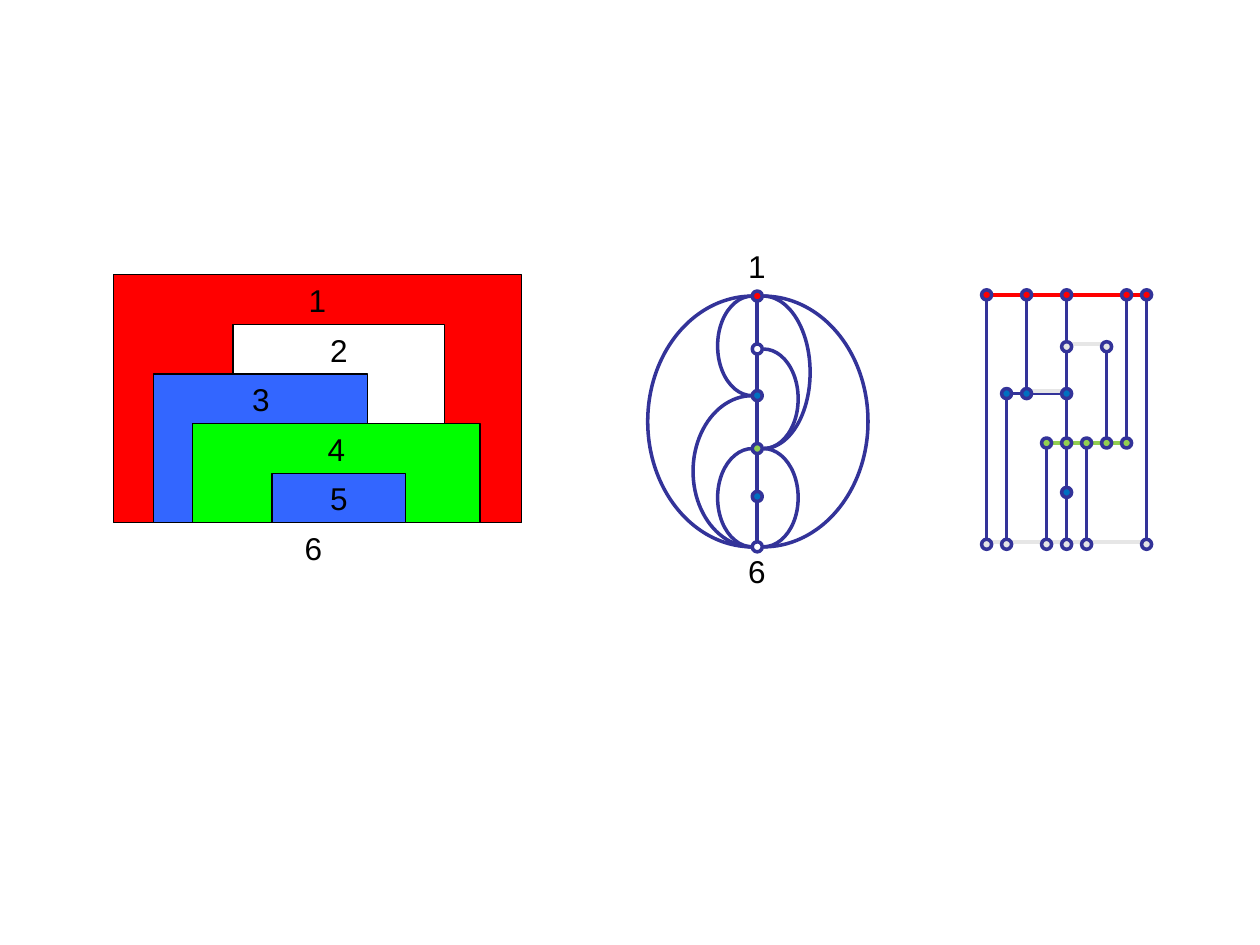
from lxml import etree
from pptx import Presentation
from pptx.dml.color import RGBColor
from pptx.enum import shapes, text
from pptx.oxml.ns import qn
from pptx.util import Inches, Pt

BLACK = RGBColor(0x00, 0x00, 0x00)
WHITE = RGBColor(0xFF, 0xFF, 0xFF)
RED = RGBColor(0xFF, 0x00, 0x00)
LIME = RGBColor(0x00, 0xFF, 0x00)
SKY = RGBColor(0x33, 0x66, 0xFF)
INDIGO = RGBColor(0x33, 0x33, 0x99)
BLUE = RGBColor(0x00, 0x70, 0xC0)
GREEN = RGBColor(0x92, 0xD0, 0x50)
GREY = RGBColor(0xE6, 0xE6, 0xE6)

SHAPE = shapes.MSO_SHAPE
DOT = 0.08


def write(sp, content, size=18, font="Arial", color=BLACK,
          align=text.PP_ALIGN.LEFT, anchor=text.MSO_ANCHOR.TOP):
    tf = sp.text_frame
    tf.word_wrap = False
    tf.vertical_anchor = anchor
    p = tf.paragraphs[0]
    p.alignment = align
    r = p.add_run()
    r.text = content
    r.font.size = Pt(size)
    r.font.name = font
    r.font.color.rgb = color


def add_label(parent, content, x, y):
    sp = parent.add_textbox(Inches(x), Inches(y), Inches(0.34), Inches(0.4))
    write(sp, content)
    sp.text_frame.auto_size = text.MSO_AUTO_SIZE.SHAPE_TO_FIT_TEXT


def add_shape(parent, kind, x, y, w, h, fill=None, line=INDIGO, weight=2):
    sp = parent.add_shape(kind, Inches(x), Inches(y), Inches(w), Inches(h))
    sp.shadow.inherit = False
    if fill is None:
        sp.fill.background()
    else:
        sp.fill.solid()
        sp.fill.fore_color.rgb = fill
    sp.line.color.rgb = line
    sp.line.width = Pt(weight)
    return sp


def add_dot(parent, x, y, fill=None):
    add_shape(parent, SHAPE.OVAL, x - DOT / 2, y - DOT / 2, DOT, DOT, fill)


def add_line(parent, x1, y1, x2, y2, color=INDIGO):
    ln = parent.add_connector(shapes.MSO_CONNECTOR.STRAIGHT, Inches(x1),
                              Inches(y1), Inches(x2), Inches(y2))
    ln.line.color.rgb = color
    ln.line.width = Pt(2)
    etree.SubElement(ln._element.spPr, qn("a:effectLst"))


def add_half_ellipse(parent, x, top, bottom, width, on_left):
    sp = add_shape(parent, SHAPE.ARC, x - width / 2, top, width, bottom - top)
    # Angles in 1/600 of a degree: from twelve o'clock down to six o'clock
    sp.adjustments[0] = 162
    sp.adjustments[1] = 54
    if on_left:
        sp.rotation = 180


def build_layers(slide, left, top, width, height):
    """Overlapping rectangles that all stand on the same floor."""
    step = height / 5
    layers = [(0, width, RED), (0.95, 1.68, WHITE), (0.32, 1.7, SKY),
              (0.63, 2.28, LIME), (1.26, 1.06, SKY)]
    for i, (dx, w, fill) in enumerate(layers):
        sp = add_shape(slide.shapes, SHAPE.RECTANGLE, left + dx, top + i * step,
                       w, height - i * step, fill, BLACK, 0.75)
        write(sp, str(i + 1), align=text.PP_ALIGN.CENTER)
    add_label(slide.shapes, "6", left + 1.42, top + height)


def build_graph(slide, left, top, width, height):
    """Adjacency graph: one node per layer on an axis, joined by arcs."""
    parent = slide.shapes.add_group_shape().shapes
    axis = left + width / 2
    rows = [top + dy for dy in (0, 0.42, 0.79, 1.21, 1.59, height)]
    fills = [RED, None, BLUE, GREEN, BLUE, None]

    # Arcs: first node, last node, ellipse width, on the left side
    arcs = [(0, 5, 1.66, True), (0, 5, 1.66, False), (0, 2, 0.55, True),
            (2, 5, 0.94, True), (3, 5, 0.55, True), (0, 3, 0.74, False),
            (1, 3, 0.55, False), (3, 5, 0.55, False)]
    for first, last, w, on_left in arcs:
        x = axis - 0.04 if on_left else axis + 0.05
        add_half_ellipse(parent, x, rows[first], rows[last], w, on_left)

    # Axis, from node edge to node edge
    for y1, y2 in zip(rows, rows[1:]):
        add_line(parent, axis, y1 + DOT / 2, axis, y2 - DOT / 2)
    for y, fill in zip(rows, fills):
        add_dot(parent, axis, y, fill)

    add_label(parent, "1", axis - 0.17, top - 0.44)
    add_label(parent, "6", axis - 0.17, top + height - 0.01)


def build_lattice(slide, left, top, width, height):
    """Visibility drawing: a bar per layer and a vertical per adjacency."""
    parent = slide.shapes.add_group_shape().shapes
    xs = [left + i * width / 8 for i in range(9)]
    ys = [top + i * height / 5 for i in range(6)]

    # Bars: row, first column, last column, colour
    bars = [(0, 0, 8, RED), (1, 4, 6, GREY), (2, 1, 4, INDIGO),
            (3, 3, 7, GREEN), (5, 0, 8, GREY)]
    for row, a, b, color in bars:
        add_line(parent, xs[a], ys[row], xs[b], ys[row], color)
    add_line(parent, xs[2], ys[2] - 0.02, xs[4], ys[2] - 0.02, GREY)

    # Verticals: column, first row, last row
    for col, a, b in [(0, 0, 5), (1, 2, 5), (2, 0, 2), (3, 3, 5), (4, 0, 5),
                      (5, 3, 5), (6, 1, 3), (7, 0, 3), (8, 0, 5)]:
        add_line(parent, xs[col], ys[a], xs[col], ys[b])

    # Nodes: row, columns, fill, drop below the bar
    nodes = [(0, (0, 2, 4, 7, 8), RED, 0), (1, (4, 6), GREY, 0.02),
             (2, (1, 2, 4), BLUE, 0), (3, (3, 4, 5, 6, 7), GREEN, 0),
             (4, (4,), BLUE, 0), (5, (0, 1, 3, 4, 5, 8), GREY, 0.02)]
    for row, cols, fill, drop in nodes:
        for col in cols:
            add_dot(parent, xs[col], ys[row] + drop, fill)


def main():
    prs = Presentation()
    prs.slide_width = Inches(10)
    prs.slide_height = Inches(7.5)
    slide = prs.slides.add_slide(prs.slide_layouts[6])
    build_layers(slide, 0.9, 2.18, 3.24, 1.97)
    build_graph(slide, 5.16, 2.35, 1.7, 1.99)
    build_lattice(slide, 7.83, 2.34, 1.27, 1.96)
    prs.save("out.pptx")


if __name__ == "__main__":
    main()
